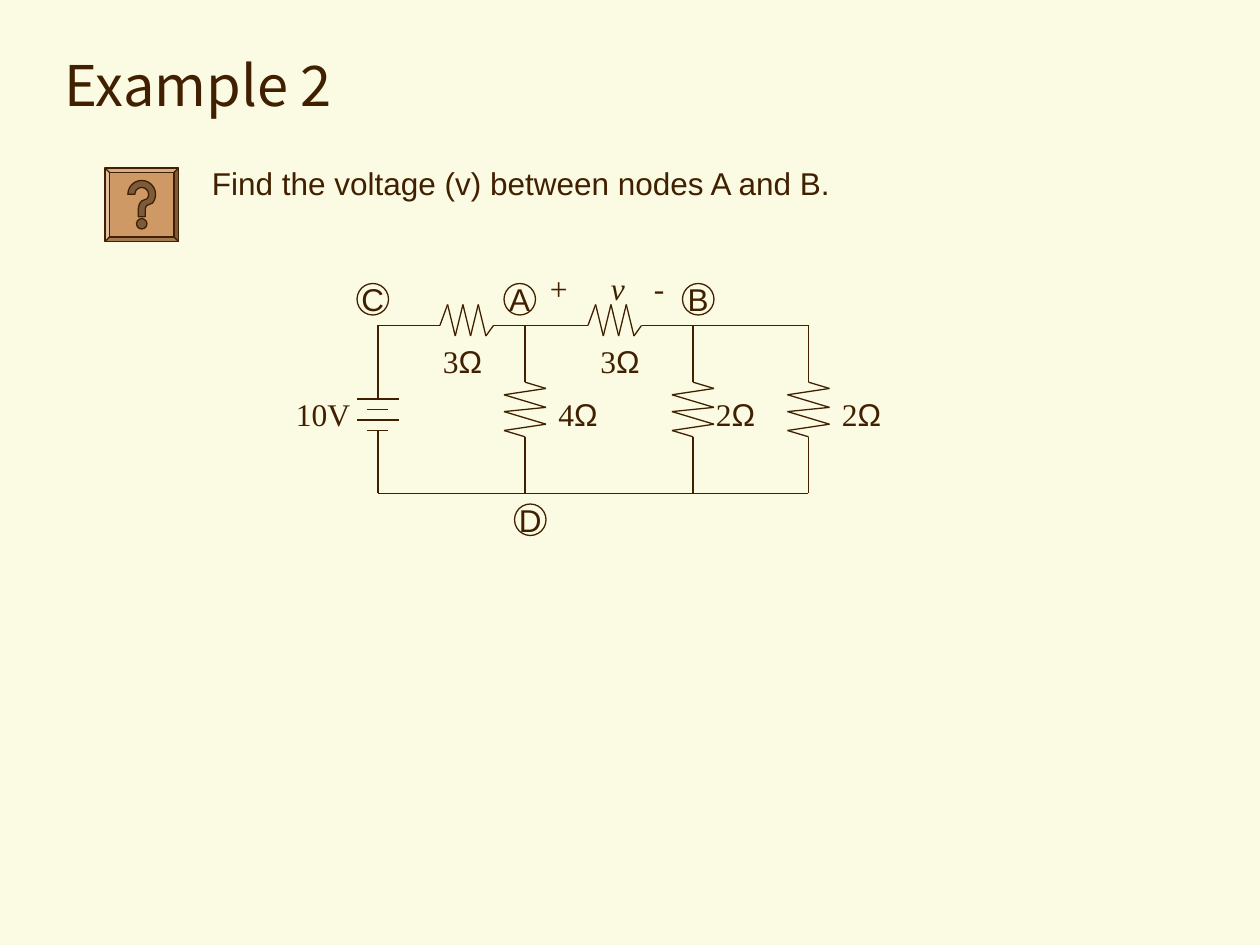
from itertools import pairwise
from pptx import Presentation
from pptx.dml.color import RGBColor
from pptx.enum.shapes import MSO_CONNECTOR, MSO_SHAPE
from pptx.enum.text import MSO_ANCHOR, PP_ALIGN
from pptx.oxml.ns import qn
from pptx.util import Inches, Pt
from lxml.etree import SubElement

COLORS = {"background": "FBFAE2", "ink": "402000", "button": "CE9964"}
SANS, SERIF, TITLE_FONT = "Arial", "Times New Roman", "Noto Sans CJK KR"
UNITS_PER_INCH = 12  # the slide is laid out on a grid of twelfths of an inch
TEXT_HEIGHT = 4.8
# Resistor outlines: (distance along the wire, offset across it)
FLAT_ZIGZAG = [(0, 0)] + [(0.73 * i, -2 if i % 2 else 1)
                          for i in range(1, 7)] + [(5.1, 0)]
UPRIGHT_ZIGZAG = [(0, 0), (2.4, 0), (3, 2), (3.6, -2), (4.8, 2), (5.2, -2),
                  (6.4, 2), (7, -2), (7.6, 0), (10, 0)]


def color(name):
    return RGBColor.from_string(COLORS[name])


def to_lengths(*units):
    return [Inches(unit / UNITS_PER_INCH) for unit in units]


def set_outline(shape):
    shape.line.color.rgb = color("ink")
    shape.line.width = Pt(0.75)


def write_text(frame, *runs, size=18, italic=False, align=PP_ALIGN.LEFT,
               anchor=MSO_ANCHOR.TOP, wrap=True):
    """Fill a text frame with one paragraph of (text, font name) runs."""
    frame.word_wrap = wrap
    frame.vertical_anchor = anchor
    paragraph = frame.paragraphs[0]
    paragraph.alignment = align
    for text, font_name in runs:
        run = paragraph.add_run()
        run.text = text
        run.font.name = font_name
        run.font.size = Pt(size)
        run.font.italic = italic
        run.font.color.rgb = color("ink")


def add_text(slide, box, *runs, **text_format):
    textbox = slide.shapes.add_textbox(*to_lengths(*box))
    write_text(textbox.text_frame, *runs, **text_format)


def add_wire(slide, *points):
    """Join the points in turn with straight lines."""
    for start, end in pairwise(points):
        wire = slide.shapes.add_connector(
            MSO_CONNECTOR.STRAIGHT, *to_lengths(*start, *end))
        set_outline(wire)
        SubElement(wire._element.spPr, qn("a:effectLst"))


def add_outlined_shape(slide, kind, left, top, size, fill=None):
    shape = slide.shapes.add_shape(kind, *to_lengths(left, top, size, size))
    shape.shadow.inherit = False
    set_outline(shape)
    if fill:
        shape.fill.solid()
        shape.fill.fore_color.rgb = color(fill)
    else:
        shape.fill.background()
    return shape


def add_resistance(slide, left, top, ohms):
    add_text(slide, (left, top, 7.9, TEXT_HEIGHT), (ohms, SERIF), ("Ω", SANS))


def add_node(slide, left, top, name):
    node = add_outlined_shape(slide, MSO_SHAPE.OVAL, left, top, 3)
    write_text(node.text_frame, (name, SANS), align=PP_ALIGN.CENTER,
               anchor=MSO_ANCHOR.MIDDLE, wrap=False)


def add_help_button(slide, left, top, size):
    """Draw a bevelled frame with a question mark on its face."""
    edge = 0.06 * size
    frame = add_outlined_shape(slide, MSO_SHAPE.BEVEL, left, top, size, "button")
    frame.adjustments[0] = edge / size
    add_outlined_shape(slide, MSO_SHAPE.ACTION_BUTTON_HELP, left + edge,
                       top + edge, size - 2 * edge, "button")


def add_top_rail(slide, left, top, width):
    wire_start = left
    for offset, label_offset in ((5.9, 5), (20, 20)):
        start = left + offset
        add_wire(slide, (wire_start, top), (start, top))
        add_wire(slide, *[(start + along, top + across)
                          for along, across in FLAT_ZIGZAG])
        wire_start = start + FLAT_ZIGZAG[-1][0]
        add_resistance(slide, left + label_offset, top + 1, "3")
    add_wire(slide, (wire_start, top), (left + width, top))


def add_branch(slide, x, top, height, ohms, label_gap):
    start = top + 3
    end = start + UPRIGHT_ZIGZAG[-1][0]
    add_wire(slide, (x, top), (x, start))
    add_wire(slide, *[(x + across, start + along)
                      for along, across in UPRIGHT_ZIGZAG])
    add_wire(slide, (x, end), (x, top + height))
    add_resistance(slide, x + label_gap, top + 6, ohms)


def add_battery(slide, x, top, height):
    first_plate = top + 7
    add_wire(slide, (x, top), (x, first_plate))
    for i, half_width in enumerate((2, 1, 2, 1)):
        y = first_plate + i
        add_wire(slide, (x - half_width, y), (x + half_width, y))
    add_wire(slide, (x, y), (x, top + height))
    add_text(slide, (x - 9, top + 6, 9, TEXT_HEIGHT), ("10V", SERIF))


def add_circuit(slide, left, top, width, height):
    """Draw the circuit; the box is the outer loop of its wires."""
    bottom = top + height
    add_top_rail(slide, left, top, width)
    add_wire(slide, (left, bottom), (left + width, bottom))
    add_battery(slide, left, top, height)
    for offset, ohms, label_gap in ((14, "4", 2), (30, "2", 1), (width, "2", 2)):
        add_branch(slide, left + offset, top, height, ohms, label_gap)
    for offset, box_width, sign, wrap in ((15, 3.2, "+", True),
                                          (21, 4.4, "v", False),
                                          (25.1, 4.1, "-", False)):
        add_text(slide, (left + offset, top - 6, box_width, TEXT_HEIGHT),
                 (sign, SERIF), italic=True, wrap=wrap)
    for offset, name in ((-2, "C"), (12, "Α"), (29, "Β")):
        add_node(slide, left + offset, top - 4, name)
    add_node(slide, left + 13, bottom + 1, "D")


def main():
    presentation = Presentation()
    presentation.slide_width = Inches(10)
    presentation.slide_height = Inches(7.5)
    slide = presentation.slides.add_slide(presentation.slide_layouts[6])
    slide.background.fill.solid()
    slide.background.fill.fore_color.rgb = color("background")

    add_text(slide, (5, 3, 110, 10), ("Example 2", TITLE_FONT),
             size=32, anchor=MSO_ANCHOR.MIDDLE)
    add_text(slide, (19, 15, 83, TEXT_HEIGHT),
             ("Find the voltage (v) between nodes A and B.", SANS))
    add_help_button(slide, 10, 16, 7)
    add_circuit(slide, 36, 31, 41, 16)
    presentation.save("out.pptx")


if __name__ == "__main__":
    main()
